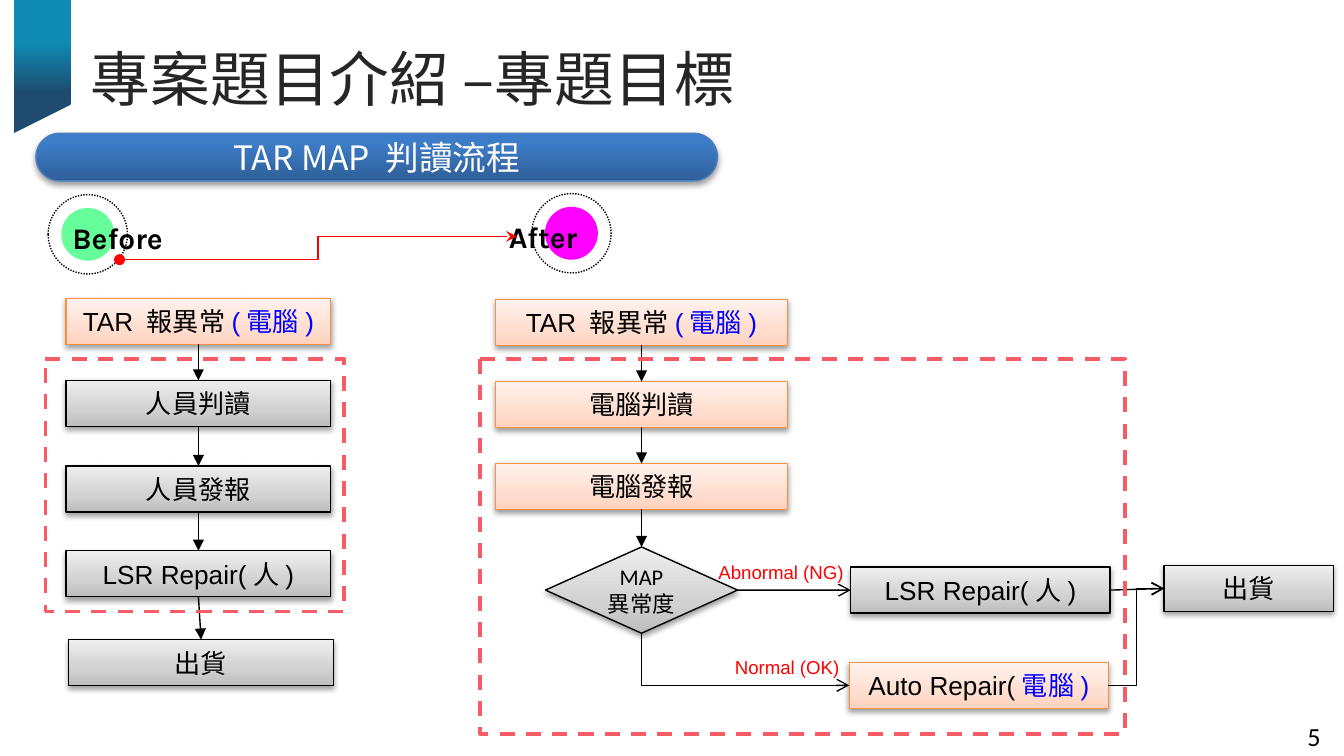
from dataclasses import dataclass
from itertools import pairwise

from lxml.etree import SubElement
from pptx import Presentation
from pptx.dml.color import RGBColor
from pptx.enum.dml import MSO_LINE as Dash
from pptx.enum.shapes import MSO_CONNECTOR as Link, MSO_SHAPE as Shape
from pptx.enum.text import MSO_ANCHOR as Anchor, PP_ALIGN as Align
from pptx.oxml.ns import qn
from pptx.util import Cm, Pt


@dataclass(frozen=True)
class Theme:
    """Colours, gradients, fonts and type sizes of the slide."""
    ink: str = "000000"
    title: str = "262626"
    white: str = "FFFFFF"
    blue: str = "0000FF"
    red: str = "FF0000"
    frame: str = "F75B66"
    before: str = "66FF99"
    after: str = "FF00FF"
    pill_edge: str = "4B7EBC"
    computer_edge: str = "F69240"
    manual: tuple = ((0, "BDBDBD"), (35, "D1D1D1"), (100, "EEEEEE"))
    computer: tuple = ((0, "FFD2BD"), (35, "FFDED0"), (100, "FFF2ED"))
    pill: tuple = ((0, "2F5F99"), (80, "3D7CC7"), (100, "3A7CCB"))
    ribbon: tuple = ((0, "1E4B70"), (30, "1E4B70"), (68, "0F8AB1"), (100, "0F8AB1"))
    sans: str = "Arial"
    body: str = "Calibri"
    cjk: str = "Noto Sans CJK SC"
    badge: str = "Karla"
    title_size: int = 32
    pill_size: int = 18
    badge_size: int = 16
    step_size: int = 14
    decision_size: int = 12
    label_size: int = 10


@dataclass(frozen=True)
class Box:
    """A rectangle in centimetres."""
    left: float
    top: float
    width: float
    height: float

    def inner(self, x, y, width, height):
        """Return a box placed relative to this one."""
        return Box(self.left + x, self.top + y, width, height)

    def lengths(self):
        """Return the four lengths for python-pptx."""
        return Cm(self.left), Cm(self.top), Cm(self.width), Cm(self.height)


THEME = Theme()
STEP_HEIGHT = 0.87


def write_text(shape, text, *, size, font=THEME.sans, color=THEME.ink, bold=False,
               align=Align.CENTER, margin=0.1, accent=""):
    """Fill a shape with text, one paragraph a line, then a blue accent."""
    frame = shape.text_frame
    frame.word_wrap = True
    frame.vertical_anchor = Anchor.MIDDLE
    frame.margin_left = frame.margin_right = Cm(margin)
    for index, line in enumerate(text.split("\n")):
        paragraph = frame.add_paragraph() if index else frame.paragraphs[0]
        paragraph.alignment = align
        for words, tint in ((line, color), (accent, THEME.blue)):
            if words:
                run = paragraph.add_run()
                run.text = words
                run.font.size, run.font.name, run.font.bold = Pt(size), font, bold
                run.font.color.rgb = RGBColor.from_string(tint)


def add_text(shapes, box, text, **style):
    """Place a text box."""
    write_text(shapes.add_textbox(*box.lengths()), text, **style)


def paint_gradient(shape, stops):
    """Fill a shape with a gradient that runs from bottom to top."""
    shape.fill.gradient()
    shape.fill.gradient_angle = 90
    stop_list = shape._element.spPr.find(qn("a:gradFill")).find(qn("a:gsLst"))
    stop_list.clear()
    for position, color in stops:
        stop = SubElement(stop_list, qn("a:gs"), pos=str(position * 1000))
        SubElement(stop, qn("a:srgbClr"), val=color)


def cast_shadow(shape):
    """Give a shape a soft shadow below it."""
    shadow = SubElement(shape._element.spPr.find(qn("a:effectLst")), qn("a:outerShdw"),
                        blurRad=str(Pt(3.1)), dist=str(Pt(1.6)), dir="5400000", rotWithShape="0")
    tint = SubElement(shadow, qn("a:srgbClr"), val=THEME.ink)
    SubElement(tint, qn("a:alpha"), val="38000")


def add_figure(shapes, kind, box, *, fill=None, stops=None, edge=None, width=0.75, dash=None):
    """Place a preset shape; one with a gradient also casts a shadow."""
    shape = shapes.add_shape(kind, *box.lengths())
    shape.shadow.inherit = False
    if stops:
        paint_gradient(shape, stops)
        cast_shadow(shape)
    elif fill:
        shape.fill.solid()
        shape.fill.fore_color.rgb = RGBColor.from_string(fill)
    else:
        shape.fill.background()
    if edge:
        shape.line.color.rgb = RGBColor.from_string(edge)
        shape.line.width = Pt(width)
        shape.line.dash_style = dash
    else:
        shape.line.fill.background()
    return shape


def add_step(slide, box, text, accent="", computer=False):
    """Place one flow step, orange for the computer and grey for people."""
    stops, edge = ((THEME.computer, THEME.computer_edge) if computer
                   else (THEME.manual, THEME.ink))
    step = add_figure(slide.shapes, Shape.RECTANGLE, box, stops=stops, edge=edge)
    write_text(step, text, size=THEME.step_size, accent=accent)
    return step


def add_frame(slide, box):
    """Place a dashed frame around part of a flow."""
    add_figure(slide.shapes, Shape.FLOWCHART_PROCESS, box, edge=THEME.frame, width=2, dash=Dash.DASH)


def add_link(slide, kind, ends=(0, 0, 0, 0), *, start=None, finish=None, color=THEME.ink,
             head=None, tail=None):
    """Draw a connector between points or joined (shape, side) pairs."""
    link = slide.shapes.add_connector(kind, *map(Cm, ends))
    if start and finish:
        link.begin_connect(*start)
        link.end_connect(*finish)
    link.line.color.rgb = RGBColor.from_string(color)
    link.line.width = Pt(0.75)
    for tag, arrow in (("a:headEnd", head), ("a:tailEnd", tail)):
        if arrow:
            SubElement(link.line._get_or_add_ln(), qn(tag), type=arrow)
    SubElement(link._element.spPr, qn("a:effectLst"))
    return link


def chain(slide, steps):
    """Join each step to the one below it."""
    for upper, lower in pairwise(steps):
        add_link(slide, Link.STRAIGHT, start=(upper, 2), finish=(lower, 0), tail="triangle")


def header(slide, box):
    """Draw the ribbon, the title and the topic pill."""
    right, bottom = box.left + 1.08, box.top + 2.52
    outline = slide.shapes.build_freeform(Cm(box.left), Cm(box.top), scale=1.0)
    outline.add_line_segments([(Cm(right), Cm(box.top)), (Cm(right), Cm(bottom - 0.54)),
                               (Cm(box.left), Cm(bottom))])
    ribbon = outline.convert_to_shape()
    ribbon.shadow.inherit = False
    paint_gradient(ribbon, THEME.ribbon)
    ribbon.line.fill.background()
    add_text(slide.shapes, box.inner(1.21, 0.64, 20.47, 1.65), "專案題目介紹 –專題目標",
             size=THEME.title_size, font=THEME.body, color=THEME.title, align=Align.LEFT, margin=0.25)
    pill = add_figure(slide.shapes, Shape.ROUNDED_RECTANGLE, box.inner(0.42, 2.52, 12.88, 0.9),
                      stops=THEME.pill, edge=THEME.pill_edge)
    pill.adjustments[0] = 0.5
    write_text(pill, "TAR MAP 判讀流程", size=THEME.pill_size, font=THEME.cjk, color=THEME.white)


def badge(slide, box, word, color, shift):
    """Draw a dotted ring, its coloured core and a word shifted sideways."""
    parts = slide.shapes.add_group_shape().shapes
    add_figure(parts, Shape.OVAL, box, edge=THEME.ink, dash=Dash.ROUND_DOT)
    add_figure(parts, Shape.OVAL, box.inner(0.25, 0.25, 1, 1), fill=color)
    add_text(parts, box.inner(shift, 0.34, 2.87, 0.94), word, size=THEME.badge_size,
             font=THEME.badge, bold=True, align=Align.LEFT, margin=0.25)


def before_flow(slide, box):
    """Draw the manual flow in one column."""
    rows = ((0.39, 0, "TAR 報異常", "(電腦)"), (0.39, 1.55, "人員判讀", ""),
            (0.39, 3.17, "人員發報", ""), (0.39, 4.77, "LSR Repair(人)", ""),
            (0.44, 6.45, "出貨", ""))
    steps = [add_step(slide, box.inner(x, y, 5, STEP_HEIGHT), text, accent, bool(accent))
             for x, y, text, accent in rows]
    chain(slide, steps)
    add_frame(slide, box.inner(0, 1.14, 5.64, 4.78))


def after_flow(slide, box):
    """Draw the computer flow with its decision and two branches."""
    rows = (("TAR 報異常", "(電腦)"), ("電腦判讀", ""), ("電腦發報", ""))
    steps = [add_step(slide, box.inner(0.3, 1.55 * row, 5.51, STEP_HEIGHT), text, accent, True)
             for row, (text, accent) in enumerate(rows)]
    decision = add_figure(slide.shapes, Shape.FLOWCHART_DECISION, box.inner(1.24, 4.68, 3.63, 1.63),
                          stops=THEME.manual, edge=THEME.ink)
    write_text(decision, "MAP\n異常度", size=THEME.decision_size, font=THEME.body)
    chain(slide, [*steps, decision])
    manual = add_step(slide, box.inner(7.01, 5.06, 4.9, STEP_HEIGHT), "LSR Repair(人)")
    auto = add_step(slide, box.inner(6.98, 6.86, 4.9, STEP_HEIGHT), "Auto Repair(", "電腦)", True)
    shipping = add_step(slide, box.inner(12.93, 5.03, 3.2, STEP_HEIGHT), "出貨")
    add_link(slide, Link.STRAIGHT, start=(decision, 3), finish=(manual, 1), tail="arrow")
    add_link(slide, Link.STRAIGHT, start=(manual, 3), finish=(shipping, 1), tail="arrow")
    add_link(slide, Link.ELBOW, start=(auto, 3), finish=(shipping, 1), tail="arrow")
    normal = add_link(slide, Link.ELBOW, start=(auto, 1), finish=(decision, 2), head="arrow")
    normal._element.spPr.find(qn("a:prstGeom")).set("prst", "bentConnector2")
    for x, y, width, text in ((4.24, 4.8, 2.9, "Abnormal (NG)"), (4.47, 6.61, 2.67, "Normal (OK)")):
        add_text(slide.shapes, box.inner(x, y, width, 0.69), text, size=THEME.label_size,
                 color=THEME.red)
    add_frame(slide, box.inner(0, 1.12, 12.19, 7.09))


def main():
    """Build the slide and save it."""
    deck = Presentation()
    deck.slide_width, deck.slide_height = Cm(25.4), Cm(14.29)
    slide = deck.slides.add_slide(deck.slide_layouts[6])
    header(slide, Box(0.26, 0, 25.14, 3.42))
    before_flow(slide, Box(0.86, 5.64, 5.69, 7.32))
    after_flow(slide, Box(9.07, 5.66, 16.13, 8.21))
    badge(slide, Box(0.91, 3.68, 1.5, 1.5), "Before", THEME.before, 0.21)
    badge(slide, Box(10.05, 3.66, 1.5, 1.5), "After", THEME.after, -0.68)
    add_link(slide, Link.ELBOW, (2.26, 4.91, 9.77, 4.47), color=THEME.red, head="oval", tail="stealth")
    add_text(slide.shapes, Box(24.46, 13.54, 0.94, 0.75), "5", size=THEME.step_size,
             font=THEME.body, align=Align.LEFT, margin=0.25)
    deck.save("out.pptx")


if __name__ == "__main__":
    main()
